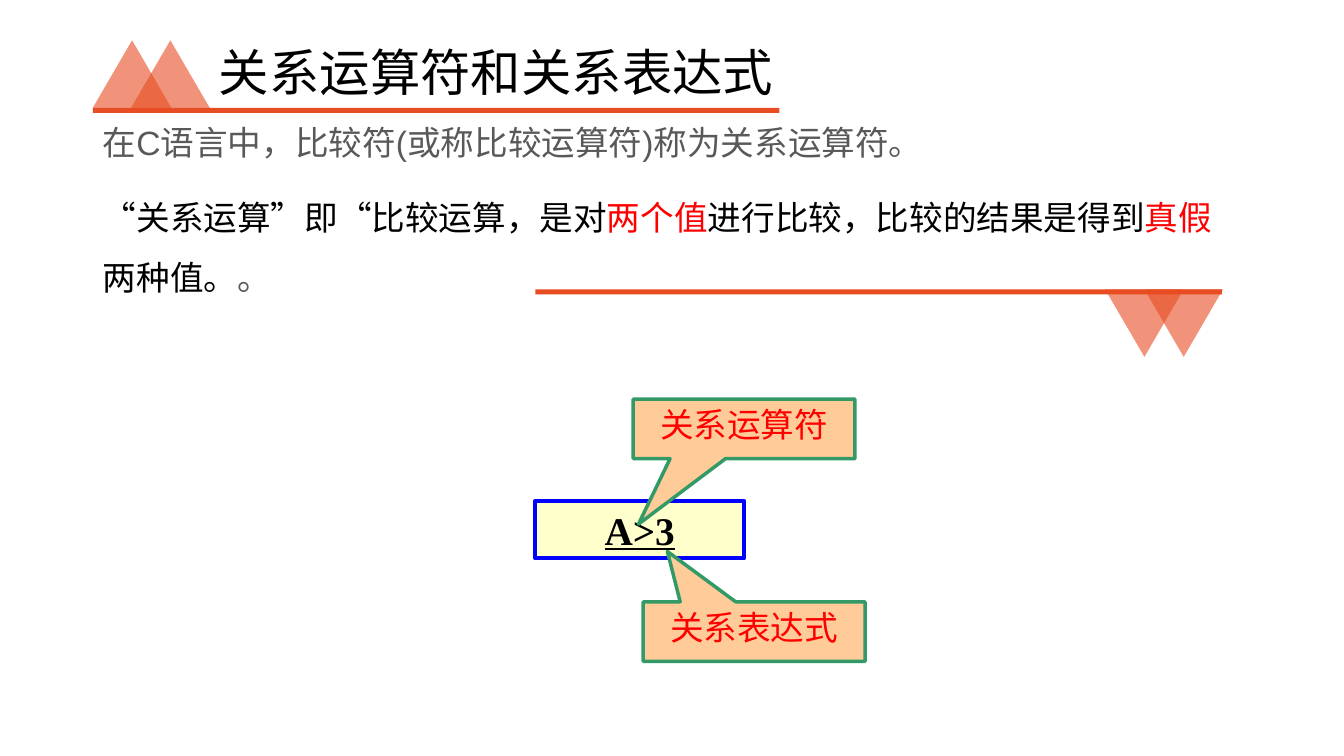
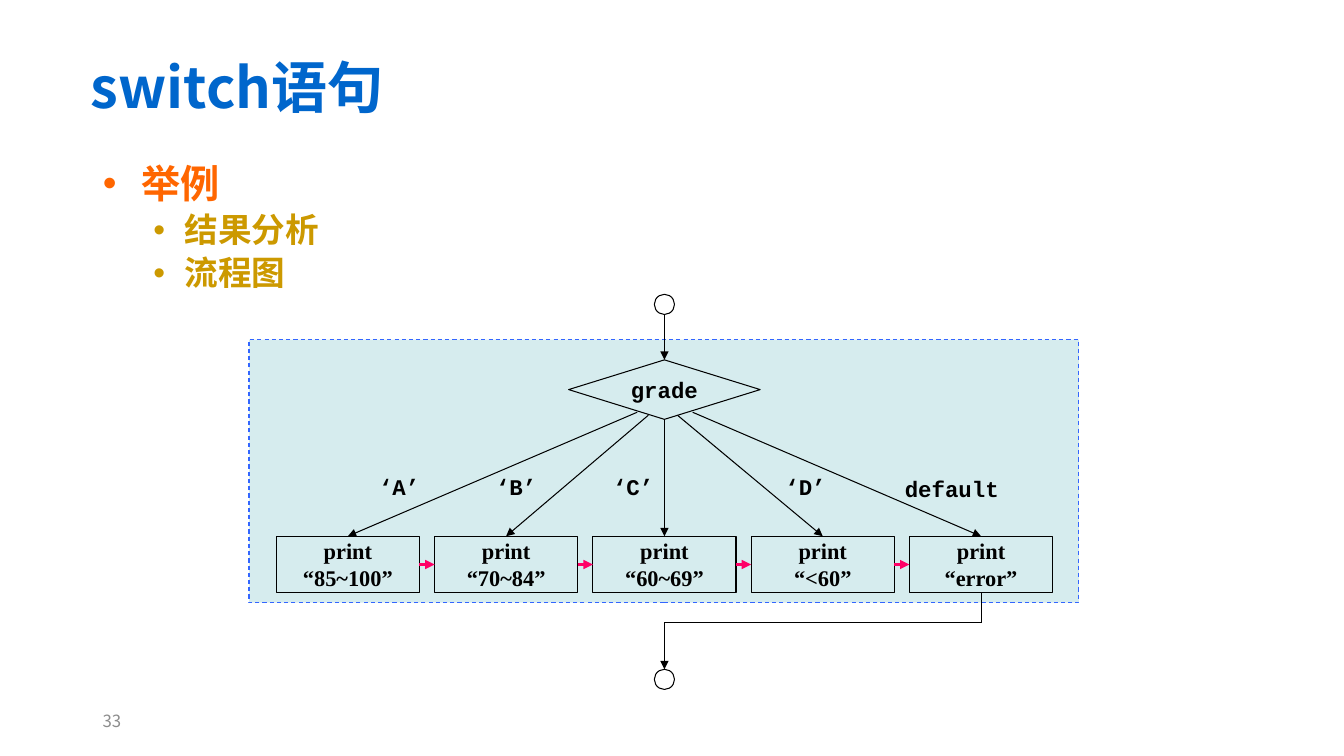
from pptx import Presentation
from pptx.dml.color import RGBColor
from pptx.enum.dml import MSO_LINE
from pptx.enum.shapes import MSO_CONNECTOR, MSO_SHAPE
from pptx.enum.text import MSO_ANCHOR, MSO_AUTO_SIZE, PP_ALIGN
from pptx.oxml.ns import qn
from pptx.util import Inches, Pt
from lxml import etree

RECT, TRIANGLE = MSO_SHAPE.RECTANGLE, MSO_SHAPE.ISOSCELES_TRIANGLE
CALLOUT, CIRCLE = MSO_SHAPE.RECTANGULAR_CALLOUT, MSO_SHAPE.OVAL
DECISION = MSO_SHAPE.FLOWCHART_DECISION
STRAIGHT, DASH = MSO_CONNECTOR.STRAIGHT, MSO_LINE.DASH
LEFT, CENTER = PP_ALIGN.LEFT, PP_ALIGN.CENTER
TOP, MIDDLE = MSO_ANCHOR.TOP, MSO_ANCHOR.MIDDLE
SIDE_TOP, SIDE_LEFT, SIDE_BOTTOM, SIDE_RIGHT = range(4)

BLACK = RGBColor(0x00, 0x00, 0x00)
RED = RGBColor(0xFF, 0x00, 0x00)
GRAY = RGBColor(0x59, 0x59, 0x59)
PAGE_GRAY = RGBColor(0x8C, 0x8C, 0x8C)
ACCENT = RGBColor(0xE8, 0x4C, 0x22)
CREAM = RGBColor(0xFF, 0xFF, 0xCC)
BLUE = RGBColor(0x00, 0x00, 0xFF)
PEACH = RGBColor(0xFF, 0xCC, 0x99)
GREEN = RGBColor(0x33, 0x99, 0x66)
TITLE_BLUE = RGBColor(0x00, 0x66, 0xCC)
ORANGE = RGBColor(0xFF, 0x66, 0x00)
GOLD = RGBColor(0xCC, 0x99, 0x00)
PALE_TEAL = RGBColor(0xD6, 0xEC, 0xEE)
FRAME_BLUE = RGBColor(0x33, 0x66, 0xFF)
PINK = RGBColor(0xFF, 0x00, 0x66)

SANS, SANS_JP = "Noto Sans CJK SC", "Noto Sans CJK JP"
ARIAL, SERIF, MONO = "Arial", "Times New Roman", "Courier New"

SPINE = 6.59
BOX_W, BOX_H, BOX_TOP, BOX_PITCH = 1.42, 0.56, 5.32, 1.57
DOT = 0.2


def add_text(paragraph, text, size=24, font=SANS, color=BLACK, bold=False, underline=False):
    run = paragraph.add_run()
    run.text = text
    run.font.size = Pt(size)
    run.font.name = font
    run.font.color.rgb = color
    run.font.bold = bold
    run.font.underline = underline
    east_asian = etree.SubElement(run.font._element, qn("a:ea"))
    east_asian.set("typeface", font if font in (SANS, SANS_JP) else SANS)


def place(shape, left, top, width, height):
    shape.left, shape.top = Inches(left), Inches(top)
    shape.width, shape.height = Inches(width), Inches(height)


def fill_lines(frame, lines, anchor=MIDDLE, margin=None, wrap=True, **style):
    frame.word_wrap = wrap
    frame.vertical_anchor = anchor
    if margin is not None:
        frame.margin_left = frame.margin_right = Inches(margin)
        frame.margin_top = frame.margin_bottom = Inches(margin)
    for index, line in enumerate(lines):
        paragraph = frame.add_paragraph() if index else frame.paragraphs[0]
        paragraph.alignment = CENTER
        add_text(paragraph, line, **style)


def set_title(slide, text, box, **style):
    title = slide.shapes.title
    place(title, *box)
    frame = title.text_frame
    frame.auto_size = MSO_AUTO_SIZE.NONE
    frame.vertical_anchor = MIDDLE
    heading = frame.paragraphs[0]
    heading.alignment = LEFT
    heading.line_spacing = 0.9
    add_text(heading, text, **style)


def set_body(slide, box, anchor):
    body = slide.placeholders[1]
    place(body, *box)
    body.text_frame.auto_size = MSO_AUTO_SIZE.NONE
    body.text_frame.vertical_anchor = anchor
    return body.text_frame


def set_bullet(paragraph, char=None, margin=0.0, hanging=0.0):
    properties = paragraph._p.get_or_add_pPr()
    properties.set("marL", str(Inches(margin)))
    properties.set("indent", str(Inches(-hanging)))
    if char:
        etree.SubElement(properties, qn("a:buFont")).set("typeface", ARIAL)
        etree.SubElement(properties, qn("a:buChar")).set("char", char)
    else:
        etree.SubElement(properties, qn("a:buNone"))


def add_box(slide, kind, box, fill=None, line=None, weight=0.75, alpha=None):
    shape = slide.shapes.add_shape(kind, *map(Inches, box))
    shape.shadow.inherit = False
    if fill is None:
        shape.fill.background()
    else:
        shape.fill.solid()
        shape.fill.fore_color.rgb = fill
    if alpha:
        color = shape._element.spPr.find(f"{qn('a:solidFill')}/{qn('a:srgbClr')}")
        etree.SubElement(color, qn("a:alpha")).set("val", str(alpha * 1000))
    if line is None:
        shape.line.fill.background()
    else:
        shape.line.color.rgb = line
        shape.line.width = Pt(weight)
    return shape


def add_line(slide, start, end, color=BLACK, weight=0.75, arrow=True, source=None, target=None):
    line = slide.shapes.add_connector(STRAIGHT, *map(Inches, (*start, *end)))
    line.line.color.rgb = color
    line.line.width = Pt(weight)
    if arrow:
        etree.SubElement(line.line._get_or_add_ln(), qn("a:tailEnd")).set("type", "triangle")
    etree.SubElement(line._element.spPr, qn("a:effectLst"))
    if source:
        line.begin_connect(*source)
    if target:
        line.end_connect(*target)


def add_ornament(slide, bar_left, bar_top, peaks, peak_top, rotation):
    for left in peaks:
        peak = add_box(slide, TRIANGLE, (left, peak_top, 0.78, 0.67), fill=ACCENT, alpha=60)
        peak.rotation = rotation
    add_box(slide, RECT, (bar_left, bar_top, 6.81, 0.05), fill=ACCENT)


def add_callout(slide, text, left, top, pointer):
    callout = add_box(slide, CALLOUT, (left, top, 2.2, 0.59), PEACH, GREEN, 2.5)
    callout.adjustments[0], callout.adjustments[1] = pointer
    fill_lines(callout.text_frame, [text], anchor=TOP, color=RED)


def add_label(slide, text, center, middle, width):
    label = slide.shapes.add_textbox(
        *map(Inches, (center - width / 2, middle - 0.14, width, 0.28)))
    fill_lines(label.text_frame, [text], margin=0, wrap=False, size=16, font=MONO, bold=True)


def build_relational_slide(slide):
    set_title(slide, "关系运算符和关系表达式", (2.07, 0.36, 6.24, 0.78), size=36)
    frame = set_body(slide, (0.92, 0.54, 11.5, 2.88), MIDDLE)
    definition, meaning = frame.paragraphs[0], frame.add_paragraph()
    for paragraph in (definition, meaning):
        paragraph.line_spacing = 1.5
        paragraph.space_before = Pt(10)
        set_bullet(paragraph)
    add_text(definition, "在C语言中，比较符(或称比较运算符)称为关系运算符。", font=ARIAL, color=GRAY)
    for text, color in (
        ("“关系运算”即“比较运算，是对", BLACK),
        ("两个值", RED),
        ("进行比较，比较的结果是得到", BLACK),
        ("真假", RED),
        ("两种值。", BLACK),
    ):
        add_text(meaning, text, color=color)
    add_text(meaning, "。", font=ARIAL, color=GRAY)

    add_ornament(slide, 0.92, 1.07, (0.92, 1.3), 0.4, 0)
    add_ornament(slide, 5.31, 2.87, (10.96, 11.35), 2.87, 180)

    expression = add_box(slide, RECT, (5.31, 4.97, 2.07, 0.57), CREAM, BLUE, 3)
    fill_lines(expression.text_frame, ["A>3"], anchor=TOP, size=28, font=SERIF,
               bold=True, underline=True)
    add_callout(slide, "关系表达式", 6.38, 5.97, (-0.391, -1.346))
    add_callout(slide, "关系运算符", 6.28, 3.96, (-0.476, 1.601))


def build_flowchart(slide):
    frame = add_box(slide, RECT, (2.47, 3.37, 8.23, 2.61), PALE_TEAL, FRAME_BLUE)
    frame.line.dash_style = DASH

    decision = add_box(slide, DECISION, (SPINE - 0.95, 3.57, 1.9, 0.59), line=BLACK)
    fill_lines(decision.text_frame, ["grade"], margin=0, wrap=False,
               size=16, font=MONO, bold=True)
    add_box(slide, CIRCLE, (SPINE - DOT / 2, 2.92, DOT, DOT), line=BLACK)
    finish = add_box(slide, CIRCLE, (SPINE - DOT / 2, 6.64, DOT, DOT), line=BLACK)
    add_line(slide, (SPINE, 3.12), (SPINE, 3.57), target=(decision, SIDE_TOP))

    branches = (
        ("“85~100”", (6.32, 4.09)),
        ("“70~84”", (6.43, 4.12)),
        ("“60~69”", (SPINE, 4.16)),
        ("“<60”", (6.72, 4.12)),
        ("“error”", (6.87, 4.09)),
    )
    previous = None
    for index, (output, exit_point) in enumerate(branches):
        center = SPINE + (index - 2) * BOX_PITCH
        left = center - BOX_W / 2
        action = add_box(slide, RECT, (left, BOX_TOP, BOX_W, BOX_H), line=BLACK)
        fill_lines(action.text_frame, ["print", output], margin=0, wrap=False,
                   size=16, font=SERIF, bold=True)
        source = (decision, SIDE_BOTTOM) if center == SPINE else None
        add_line(slide, exit_point, (center, BOX_TOP), source=source, target=(action, SIDE_TOP))
        if previous:
            middle = BOX_TOP + BOX_H / 2
            add_line(slide, (left - BOX_PITCH + BOX_W, middle), (left, middle), PINK, 2.25,
                     source=(previous, SIDE_RIGHT), target=(action, SIDE_LEFT))
        previous = action

    last_center, turn = SPINE + 2 * BOX_PITCH, 6.18
    add_line(slide, (last_center, BOX_TOP + BOX_H), (last_center, turn), arrow=False,
             source=(previous, SIDE_BOTTOM))
    add_line(slide, (last_center, turn), (SPINE, turn), arrow=False)
    add_line(slide, (SPINE, turn), (SPINE, 6.64), target=(finish, SIDE_TOP))

    for text, center in (("‘A’", 3.96), ("‘B’", 5.12), ("‘C’", 6.28), ("‘D’", 7.99)):
        add_label(slide, text, center, 4.83, 0.6)
    add_label(slide, "default", 9.44, 4.85, 1.2)


def build_switch_slide(slide):
    set_title(slide, "switch语句", (0.8, 0.17, 11.5, 1.45),
              size=40, font=SANS_JP, color=TITLE_BLUE, bold=True)
    frame = set_body(slide, (0.92, 1.58, 11.5, 5.17), TOP)
    for index, (text, level, size, color, margin, hanging) in enumerate((
        ("举例", 0, 28, ORANGE, 0.38, 0.38),
        ("结果分析", 1, 24, GOLD, 0.81, 0.31),
        ("流程图", 1, 24, GOLD, 0.81, 0.31),
    )):
        item = frame.add_paragraph() if index else frame.paragraphs[0]
        item.level = level
        item.line_spacing = 0.9
        set_bullet(item, "•", margin, hanging)
        add_text(item, text, size=size, color=color, bold=True)

    build_flowchart(slide)

    page = slide.shapes.add_textbox(*map(Inches, (0.92, 6.95, 3, 0.4))).text_frame
    page.word_wrap = True
    page.vertical_anchor = MIDDLE
    add_text(page.paragraphs[0], "33", size=12, color=PAGE_GRAY)


def main():
    deck = Presentation()
    deck.slide_width, deck.slide_height = Inches(13.33), Inches(7.5)
    for build in (build_relational_slide, build_switch_slide):
        build(deck.slides.add_slide(deck.slide_layouts[1]))
    deck.save("out.pptx")


if __name__ == "__main__":
    main()
